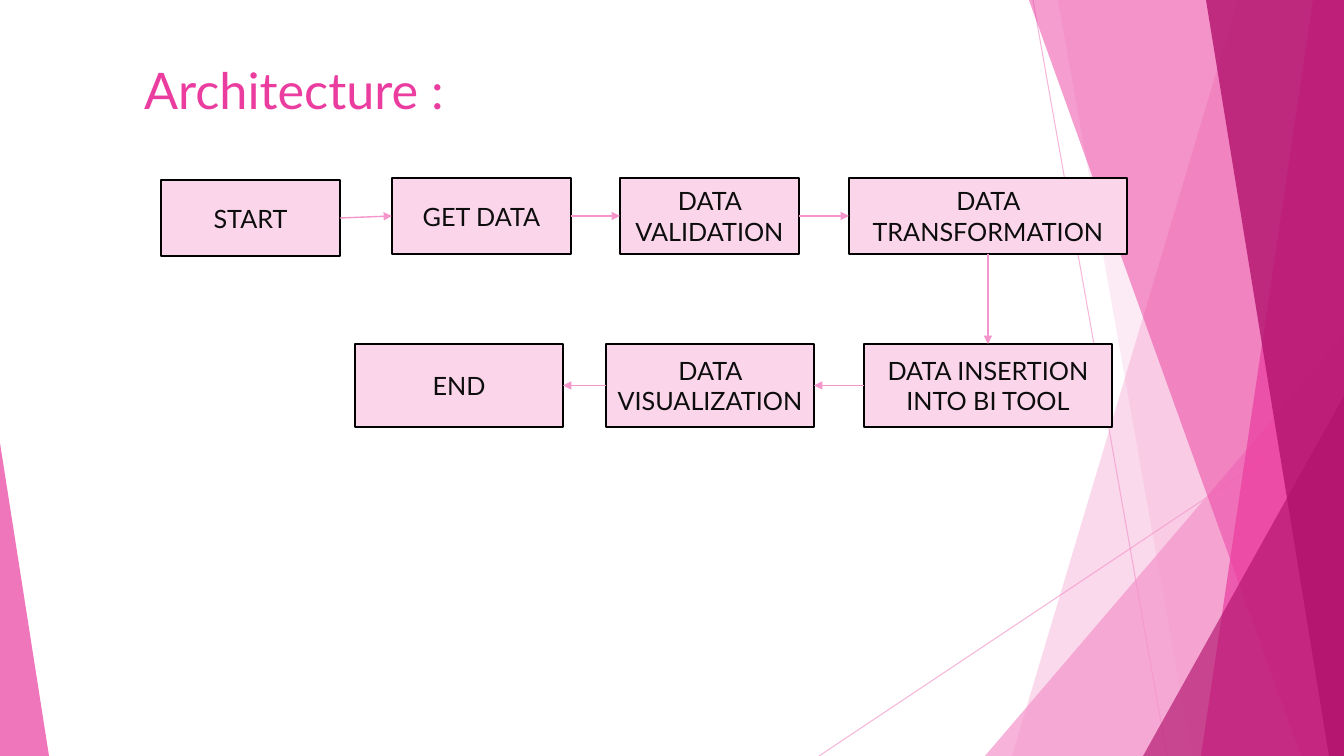
from dataclasses import dataclass
from lxml.etree import SubElement
from pptx import Presentation
from pptx.dml.color import RGBColor
from pptx.enum.shapes import MSO_CONNECTOR as Line, MSO_SHAPE as Kind
from pptx.enum.text import MSO_ANCHOR as Anchor, MSO_AUTO_SIZE as Fit, PP_ALIGN as Align
from pptx.oxml.ns import qn
from pptx.util import Pt


@dataclass(frozen=True)
class Theme:
    font: str = "Lato"
    pink: str = "EB3D9F"
    light: str = "F496CB"
    dark: str = "B2136D"
    pale: str = "FBD5EA"
    ink: str = "0D0D0D"
    edge: str = "000000"
    head: int = 36
    body: int = 18


T = Theme()
PX = 12192000 / 1344
WIDE, HIGH = 1344, 756

# Content: steps in order of flow, each with left and width
TITLE = "Architecture :"
TOP = [("GET DATA", 392, 179), ("DATA VALIDATION", 620, 179),
       ("DATA TRANSFORMATION", 849, 278)]
LOW = [("DATA INSERTION INTO BI TOOL", 864, 248),
       ("DATA VISUALIZATION", 606, 208), ("END", 355, 208)]
STEPS = ([("START", 161, 180, 179, 76)]
         + [(name, x, 178, w, 76) for name, x, w in TOP]
         + [(name, x, 344, w, 83) for name, x, w in LOW])
# Sides that each arrow leaves and enters: 0 top, 1 left, 2 bottom, 3 right
JOINS = [(3, 1)] * 3 + [(2, 0)] + [(1, 3)] * 2

# Backdrop: thin rays, bands (top x, bottom x, colour, opacity), triangles
RAYS = [(1033, 0, 1167, HIGH), (WIDE, 406, 819, HIGH)]
BACK = [(1238, 1012, T.light, 36), (1058, 1192, T.light, 20)]
FRONT = [(1029, 1301, T.pink, 50), (1313, 1201, T.pink, 70),
         (1206, 1329, T.dark, 80)]
MID = (985, 336, 359, 1, T.light, 72)
ENDS = [(1143, 396, 201, 1, T.dark, 66), (0, 443, 49, 0, T.pink, 70)]


def px(*nums):
    return [round(n * PX) for n in nums]


def fade(shape, alpha):
    for tone in shape._element.spPr.iter(qn("a:srgbClr")):
        SubElement(tone, qn("a:alpha"), val=str(alpha * 1000))


def paint(shape, fill, alpha=100, edge=None):
    shape.shadow.inherit = False
    shape.fill.solid()
    shape.fill.fore_color.rgb = RGBColor.from_string(fill)
    if edge:
        shape.line.color.rgb = RGBColor.from_string(edge)
        shape.line.width = Pt(1.5)
    else:
        shape.line.fill.background()
    if alpha < 100:
        fade(shape, alpha)


def write(shape, text, size=T.body, color=T.ink, align=Align.CENTER, anchor=Anchor.MIDDLE):
    frame = shape.text_frame
    frame.word_wrap = True
    frame.auto_size = Fit.NONE
    frame.vertical_anchor = anchor
    para = frame.paragraphs[0]
    para.alignment = align
    run = para.add_run()
    run.text = text
    run.font.name, run.font.size = T.font, Pt(size)
    run.font.color.rgb = RGBColor.from_string(color)


def link(x1, y1, x2, y2, width):
    line = shapes.add_connector(Line.STRAIGHT, *px(x1, y1, x2, y2))
    line.line.color.rgb = RGBColor.from_string(T.light)
    line.line.width = Pt(width)
    SubElement(line._element.spPr, qn("a:effectLst"))
    return line


def band(top, low, color, alpha):
    form = shapes.build_freeform(top, 0, scale=PX)
    form.add_line_segments([(WIDE, 0), (WIDE, HIGH), (low, HIGH)], close=True)
    paint(form.convert_to_shape(), color, alpha)


def wedge(x, y, w, tip, color, alpha):
    shape = shapes.add_shape(Kind.ISOSCELES_TRIANGLE, *px(x, y, w, HIGH - y))
    shape.adjustments[0] = tip
    paint(shape, color, alpha)


deck = Presentation()
deck.slide_width, deck.slide_height = px(WIDE, HIGH)
slide = deck.slides.add_slide(deck.slide_layouts[5])
shapes = slide.shapes

# Backdrop
for ray in RAYS:
    fade(link(*ray, 0.75), 70)
for item in BACK:
    band(*item)
wedge(*MID)
for item in FRONT:
    band(*item)
for item in ENDS:
    wedge(*item)

# Title
title = shapes.title
title.left, title.top, title.width, title.height = px(134, 60, 648, 65)
write(title, TITLE, size=T.head, color=T.pink, align=Align.LEFT, anchor=Anchor.BOTTOM)

# Steps
boxes = []
for name, *place in STEPS:
    box = shapes.add_shape(Kind.RECTANGLE, *px(*place))
    paint(box, T.pale, edge=T.edge)
    write(box, name)
    boxes.append(box)

# Arrows
for start, end, (out, into) in zip(boxes, boxes[1:], JOINS):
    arrow = link(0, 0, 0, 0, 1)
    arrow.begin_connect(start, out)
    arrow.end_connect(end, into)
    SubElement(arrow.line._get_or_add_ln(), qn("a:tailEnd"), type="triangle")

deck.save("out.pptx")
